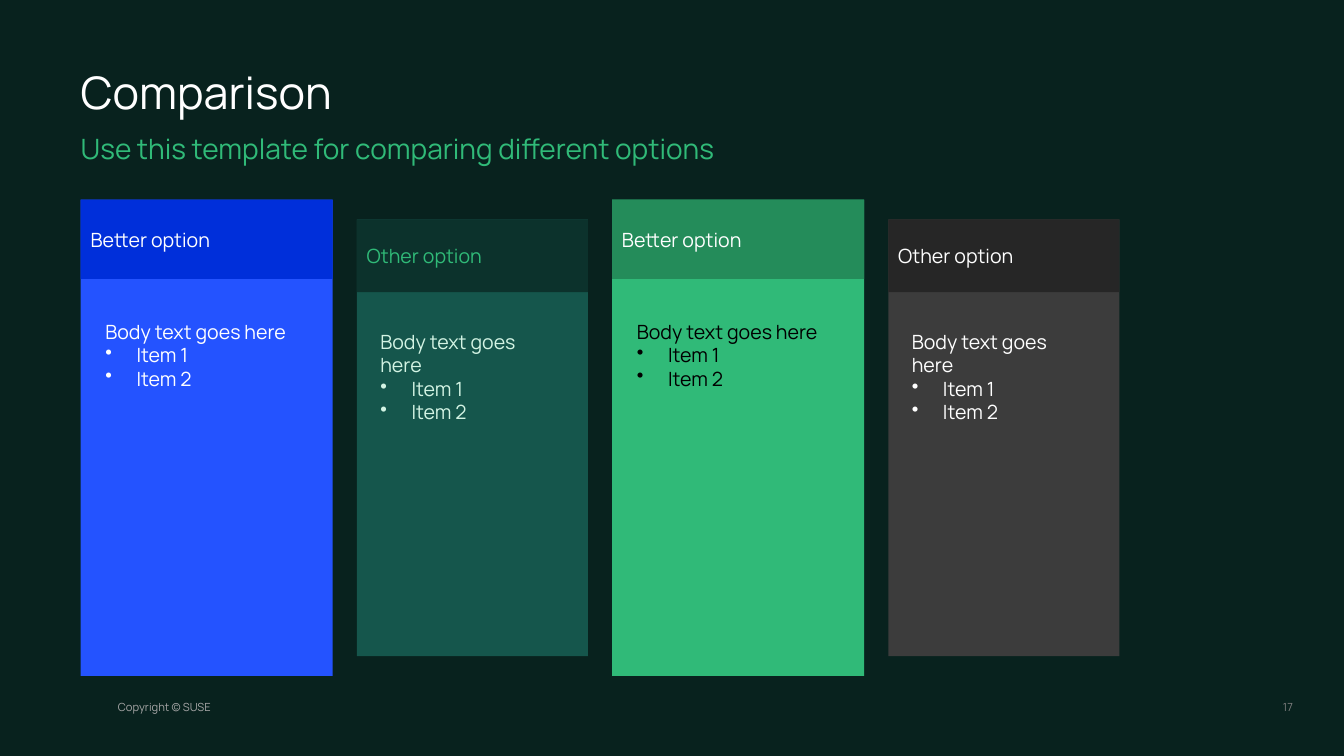
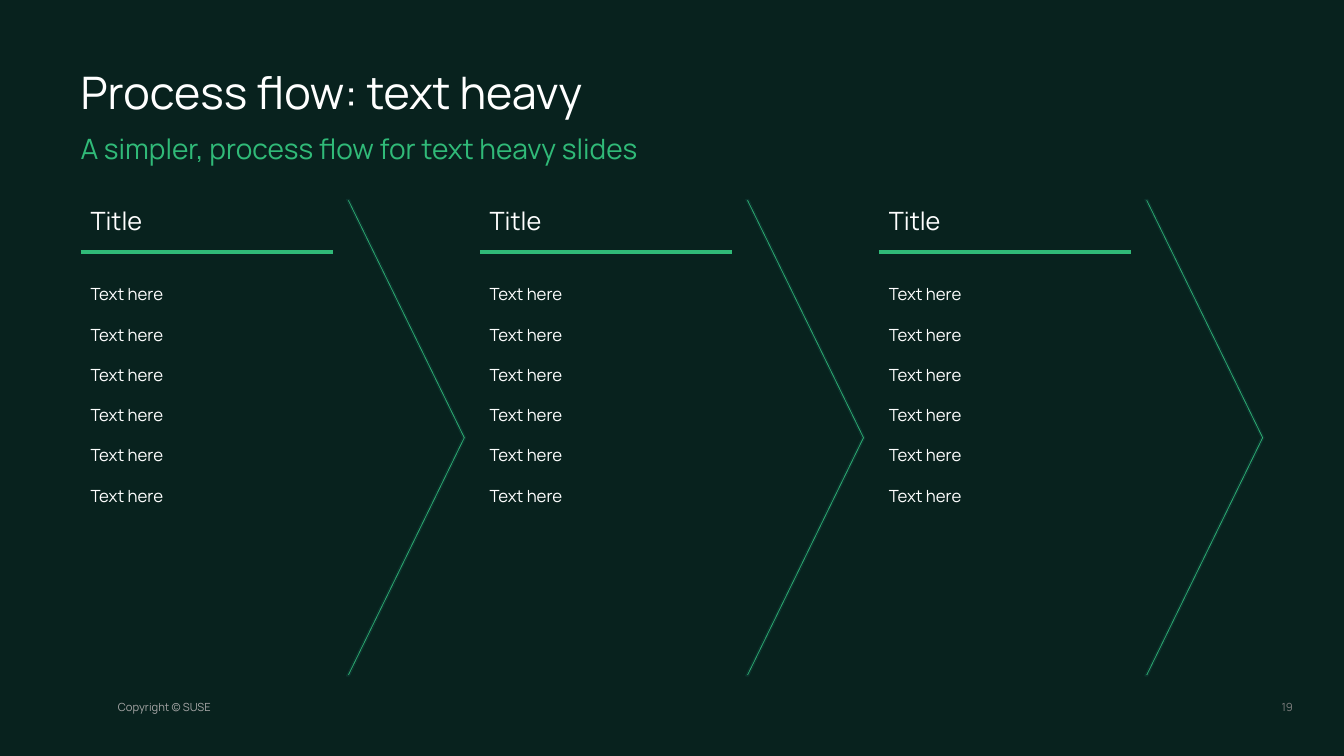
from lxml.etree import SubElement
from pptx import Presentation
from pptx.dml.color import RGBColor
from pptx.enum.shapes import MSO_CONNECTOR as Connector, MSO_SHAPE as Shape
from pptx.enum.text import MSO_ANCHOR as Anchor, PP_ALIGN as Align
from pptx.oxml.ns import qn
from pptx.util import Inches, Pt

FONT = "Manrope"
NIGHT, PINE, GREEN, WHITE = "08221E", "0C322C", "30BA78", "FFFFFF"
hue = RGBColor.from_string

deck = Presentation()
deck.slide_width, deck.slide_height = Inches(13.33), Inches(7.5)
column, row = deck.slide_width / 100, deck.slide_height / 100
backdrop = deck.slide_master.background.fill
backdrop.solid()
backdrop.fore_color.rgb = hue(NIGHT)

MARGIN, TOP, BODY_HEIGHT = 6, 26.4, 63
FLUSH = dict.fromkeys(["margin_left", "margin_top", "margin_right", "margin_bottom"], 0)
MIDDLE = {"vertical_anchor": Anchor.MIDDLE}


def spot(left, top, width, height):
    return [round(n) for n in (left * column, top * row, width * column, height * row)]


def write(frame, lines, size, color, frame_format={}, line_format={}, gap=0):
    for key, value in {"word_wrap": True, **frame_format}.items():
        setattr(frame, key, value)
    for index, line in enumerate(lines):
        paragraph = frame.add_paragraph() if index else frame.paragraphs[0]
        for key, value in {"alignment": Align.LEFT, **line_format}.items():
            setattr(paragraph, key, value)
        if index and gap:
            paragraph.space_before = Pt(gap)
        if line.startswith("Item"):
            properties = paragraph._p.get_or_add_pPr()
            properties.set("marL", str(Inches(0.31)))
            properties.set("indent", str(-Inches(0.31)))
            SubElement(properties, qn("a:buChar"), char="•")
        run = paragraph.add_run()
        run.text = line
        for key, value in {"name": FONT, "size": Pt(size)}.items():
            setattr(run.font, key, value)
        run.font.color.rgb = hue(color)


pages = []
for title, subtitle, number in [
    ("Comparison", "Use this template for comparing different options", "17"),
    ("Process flow: text heavy", "A simpler, process flow for text heavy slides", "19"),
]:
    page = deck.slides.add_slide(deck.slide_layouts[6])
    pages.append(page)
    for words, place, size, color, frame_format, line_format in [
        ("Copyright © SUSE", (8.78, 92.7, 10.1, 1.7), 8, "A6A6A6", {}, {}),
        (subtitle, (MARGIN, 16.9, 88, 4.8), 20, GREEN, {}, {"line_spacing": 1.1}),
        (title, (MARGIN, 9.2, 88, 6.7), 32, WHITE, MIDDLE, {"line_spacing": 0.9}),
        (number, (93.8, 92.7, 2.4, 1.7), 8, "808080", {}, {"alignment": Align.RIGHT}),
    ]:
        frame = page.shapes.add_textbox(*spot(*place)).text_frame
        write(frame, [words], size, color, {**FLUSH, **frame_format}, line_format)

comparison, process = pages

CARD_WIDTH, CARD_GAP = 18.75, 1.8
option_left = MARGIN
for heading, scale, panel_color, header_color, heading_color, body_color in [
    ("Better option", 1, "2453FF", "002FDA", WHITE, WHITE),
    ("Other option", 0.917, "15564C", PINE, GREEN, "D3F4E4"),
    ("Better option", 1, GREEN, "248C5A", WHITE, "000000"),
    ("Other option", 0.917, "3C3C3C", "262626", WHITE, WHITE),
]:
    width, height = CARD_WIDTH * scale, BODY_HEIGHT * scale
    option_top = TOP + (BODY_HEIGHT - height) / 2
    for part_height, color in [(height, panel_color), (height / 6, header_color)]:
        part = comparison.shapes.add_shape(
            Shape.RECTANGLE, *spot(option_left, option_top, width, part_height))
        part.shadow.inherit = False
        part.fill.solid()
        part.fill.fore_color.rgb = hue(color)
        part.line.fill.background()
    write(part.text_frame, [heading], 14, heading_color, MIDDLE)
    body = comparison.shapes.add_textbox(*spot(
        option_left + 1.1 * scale, option_top + 15.2 * scale, 16.2 * scale, 10.8))
    write(body.text_frame, ["Body text goes here", "Item 1", "Item 2"], 14, body_color)
    option_left += width + CARD_GAP

STEP_COUNT, STEP_PITCH, STEP_WIDTH = 3, 29.7, 17.8
for step in range(STEP_COUNT):
    step_left = MARGIN + step * STEP_PITCH
    arrow = process.shapes.add_shape(
        Shape.CHEVRON, *spot(step_left + 19.8, TOP, 8.85, BODY_HEIGHT))
    arrow.adjustments[0] = 0.978
    arrow.shadow.inherit = False
    arrow.fill.solid()
    arrow.fill.fore_color.rgb = hue(GREEN)
    arrow.line.color.rgb = hue(PINE)
    arrow.line.width = Pt(1)

    start_x, rule_y, rule_width, _ = spot(step_left, 33.33, CARD_WIDTH, 0)
    rule = process.shapes.add_connector(
        Connector.STRAIGHT, start_x, rule_y, start_x + rule_width, rule_y)
    rule.line.color.rgb = hue(GREEN)
    rule.line.width = Pt(2.25)
    SubElement(rule._element.spPr, qn("a:effectLst"))

    for lines, top, height, size, gap in [
        (["Title"], 26.5, 5.3, 18, 0),
        (["Text here"] * 6, 36.9, 33.6, 12, 14.4),
    ]:
        box = process.shapes.add_textbox(*spot(step_left, top, STEP_WIDTH, height))
        write(box.text_frame, lines, size, WHITE, gap=gap)

deck.save("out.pptx")
